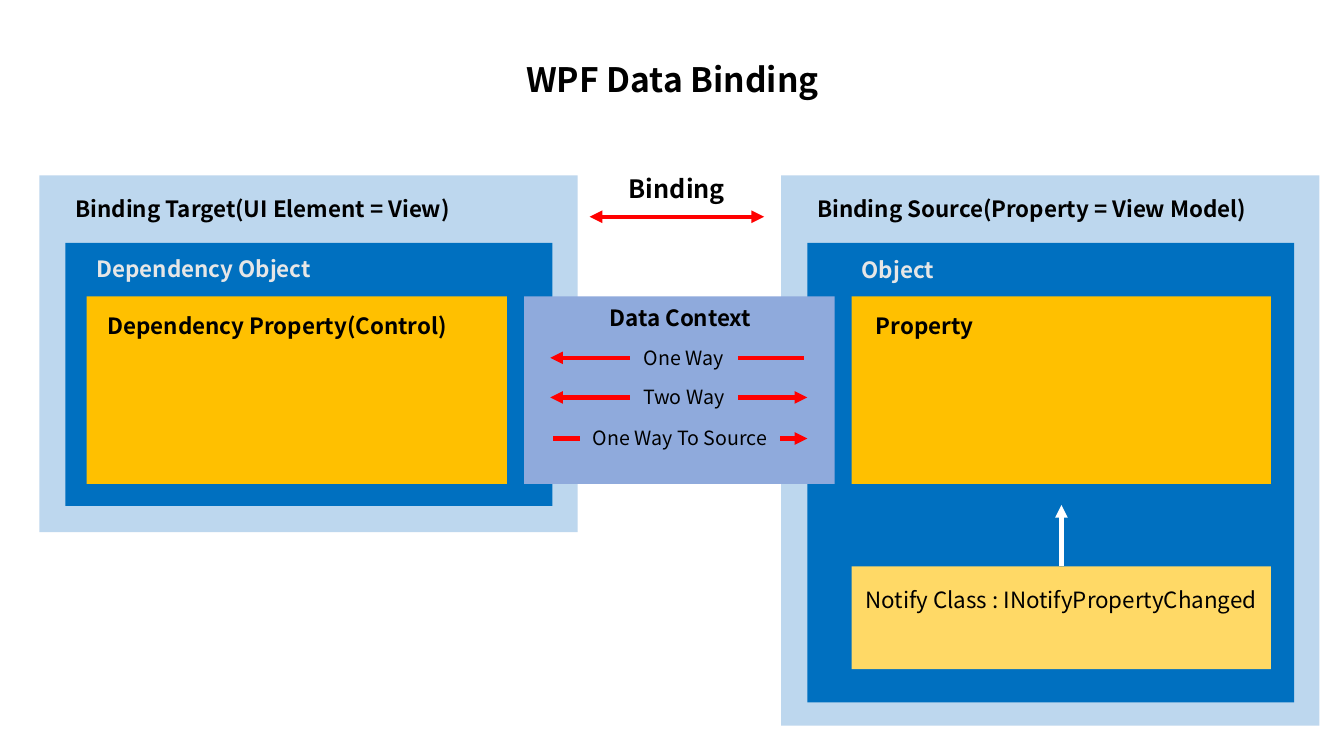
from lxml import etree
from pptx import Presentation
from pptx.dml.color import RGBColor
from pptx.enum import shapes, text
from pptx.oxml import ns
from pptx.util import Pt

FONT = "Noto Sans CJK KR"
HUES = {"pale": "BDD7EE", "blue": "0070C0", "gold": "FFC000", "sand": "FFD966",
        "mist": "8FAADC", "red": "FF0000", "white": "FFFFFF", "grey": "E6E6E6",
        "black": "000000"}

TITLE = ("WPF Data Binding", 304.6, 38.2, 351.4, 36)

# hue, left, top, width, height
PANELS = [
    ("pale", 28.1, 125.3, 384.5, 254.9),
    ("blue", 46.8, 173.5, 347.8, 187.9),
    ("gold", 61.9, 211.7, 300.2, 133.9),
    ("pale", 558, 125.3, 384.5, 393.1),
    ("blue", 576.7, 173.5, 347.8, 328.3),
    ("gold", 608.4, 211.7, 299.5, 133.9),
    ("sand", 608.4, 404.6, 299.5, 73.4),
    ("mist", 374.4, 211.7, 221.8, 133.9),
]

# text, left, top, width, height, format
LABELS = [
    ("Binding Target(UI Element = View)", 46.8, 136.1, 315.4, 26.6, {}),
    ("Dependency Object", 61.9, 178.6, 195.8, 26.6, {"hue": "grey"}),
    ("Dependency Property(Control)", 69.8, 219.6, 279.4, 26.6, {}),
    ("Binding Source(Property = View Model)", 576.7, 136.1, 331.2, 26.6, {}),
    ("Object", 608.4, 179.3, 195.8, 26.6, {"hue": "grey"}),
    ("Property", 618.5, 219.6, 279.4, 26.6, {}),
    ("Notify Class : INotifyPropertyChanged", 611.3, 415.4, 293.8, 26.6,
     {"bold": False}),
    ("Binding", 439.2, 120.2, 88.6, 28.8, {"size": 18, "mid": True}),
    ("Data Context", 413.3, 213.8, 145.4, 26.6, {"mid": True}),
]

# label, line height, label left, label width, arrow to target, arrow to source
MODES = [
    ("One Way", 255.6, 450, 77, True, False),
    ("Two Way", 283.9, 450, 77, True, True),
    ("One Way To Source", 313.2, 414, 143.3, False, True),
]
MODE_H = 24.4
ENDS = {"target": {True: 393.1, False: 395.3},
        "source": {True: 576.7, False: 574.6}}


def color(hue):
    """Return the named colour."""
    return RGBColor.from_string(HUES[hue])


def place(item, left, top, width, height):
    """Move and size a shape, in points."""
    item.left, item.top = Pt(left), Pt(top)
    item.width, item.height = Pt(width), Pt(height)


def write(item, words, size=16, bold=True, hue="black", mid=False,
          anchor=text.MSO_ANCHOR.TOP):
    """Put formatted text into a shape."""
    frame = item.text_frame
    frame.word_wrap = True
    frame.vertical_anchor = anchor
    para = frame.paragraphs[0]
    para.alignment = text.PP_ALIGN.CENTER if mid else text.PP_ALIGN.LEFT
    run = para.add_run()
    run.text = words
    run.font.name, run.font.size, run.font.bold = FONT, Pt(size), bold
    run.font.color.rgb = color(hue)


def panel(slide, hue, *area):
    """Add a plain filled rectangle."""
    box = slide.shapes.add_shape(shapes.MSO_SHAPE.RECTANGLE, *map(Pt, area))
    box.shadow.inherit = False
    box.fill.solid()
    box.fill.fore_color.rgb = color(hue)
    box.line.fill.background()


def label(slide, words, *area, **form):
    """Add a text box."""
    write(slide.shapes.add_textbox(*map(Pt, area)), words, **form)


def arrow(slide, start, end, hue="red", head=False, tail=True):
    """Add a line with optional arrowheads at its start and end."""
    line = slide.shapes.add_connector(
        shapes.MSO_CONNECTOR.STRAIGHT, *map(Pt, start + end))
    line.line.width = Pt(3)
    line.line.color.rgb = color(hue)
    for tag, shown in (("a:headEnd", head), ("a:tailEnd", tail)):
        if shown:
            etree.SubElement(line.line._get_or_add_ln(), ns.qn(tag),
                             type="triangle")
    etree.SubElement(line._element.spPr, ns.qn("a:effectLst"))


def main():
    """Build and save the slide."""
    deck = Presentation()
    deck.slide_width, deck.slide_height = Pt(960), Pt(540)
    slide = deck.slides.add_slide(deck.slide_layouts[5])

    words, *area = TITLE
    title = slide.shapes.title
    place(title, *area)
    write(title, words, size=24, mid=True, anchor=text.MSO_ANCHOR.MIDDLE)

    for hue, *area in PANELS:
        panel(slide, hue, *area)
    for words, *area, form in LABELS:
        label(slide, words, *area, **form)

    for words, y, left, width, back, forth in MODES:
        label(slide, words, left, y - MODE_H / 2, width, MODE_H,
              size=14, bold=False, mid=True)
        arrow(slide, (left, y), (ENDS["target"][back], y), tail=back)
        arrow(slide, (left + width, y), (ENDS["source"][forth], y), tail=forth)

    arrow(slide, (421.2, 154.8), (545.8, 154.8), head=True)
    arrow(slide, (758.2, 404.6), (758.2, 360.7), hue="white")
    deck.save("out.pptx")


main()
